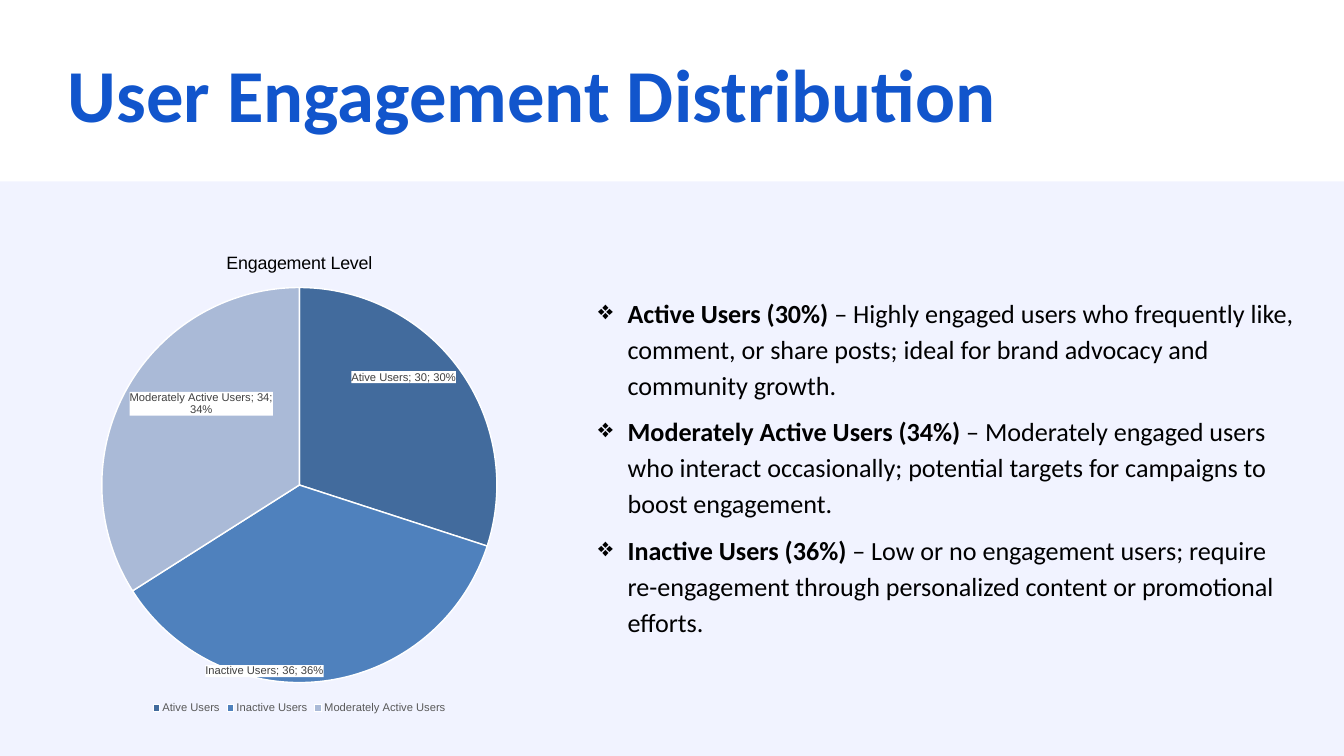
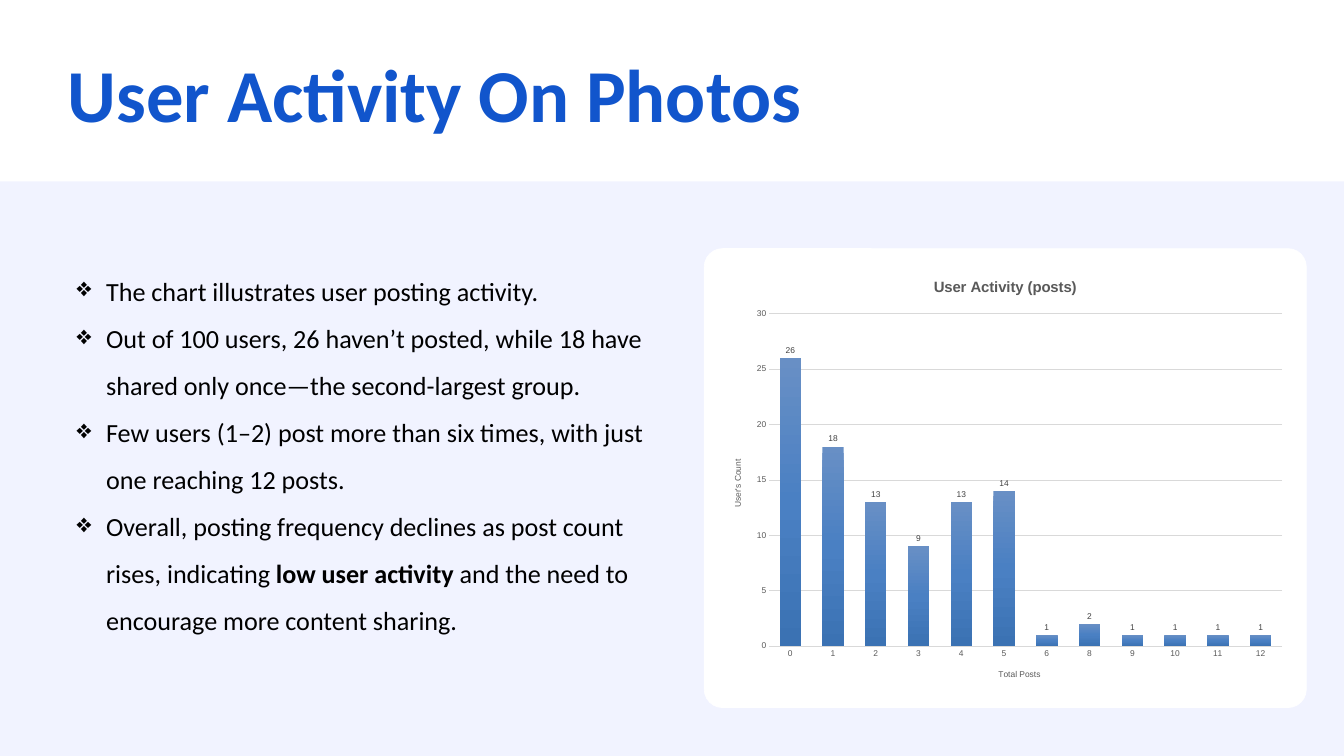
from dataclasses import dataclass
from lxml import etree
from pptx import Presentation
from pptx import util as u
from pptx.chart.data import CategoryChartData
from pptx.dml.color import RGBColor
from pptx.enum import chart as ch
from pptx.enum import shapes, text
from pptx.oxml import parse_xml
from pptx.oxml.ns import qn, nsdecls


@dataclass(frozen=True)
class Theme:
    blue: str = "1155CC"
    band: str = "E5E9FF"
    white: str = "FFFFFF"
    ink: str = "000000"
    dark: str = "404040"
    grey: str = "595959"
    rule: str = "D9D9D9"
    sans: str = "Calibri"
    plain: str = "Arial"
    title: float = 80
    body: float = 28
    small: float = 12
    tick: float = 9


T = Theme()
WIDE, HIGH = 20, 11.25
BAND = 0.24  # share of the height above the tinted band

# Content: each point is a list of (words, bold) runs
LEVELS = {
    "title": "User Engagement Distribution",
    "points": [
        [("Active Users (30%)", True),
         (" – Highly engaged users who frequently like, comment, or share "
          "posts; ideal for brand advocacy and community growth.", False)],
        [("Moderately Active Users (34%)", True),
         (" – Moderately engaged users who interact occasionally; potential "
          "targets for campaigns to boost engagement.", False)],
        [("Inactive Users (36%)", True),
         (" – Low or no engagement users; require re-engagement through "
          "personalized content or promotional efforts.", False)],
    ],
    "chart": "Engagement Level",
    "data": {"Ative Users": 30, "Inactive Users": 36,
             "Moderately Active Users": 34},
    "tints": ["426B9D", "4F81BD", "AABAD7"],
}
POSTS = {
    "title": "User Activity On Photos",
    "points": [
        [("The chart illustrates user posting activity.", False)],
        [("Out of 100 users, 26 haven’t posted, while 18 have shared only "
          "once—the second-largest group.", False)],
        [("Few users (1–2) post more than six times, with just one reaching "
          "12 posts.", False)],
        [("Overall, posting frequency declines as post count rises, "
          "indicating", False), (" low user activity", True),
         (" and the need to encourage more content sharing.", False)],
    ],
    "chart": "User Activity (posts)",
    "axes": ("Total Posts", "User's Count"),
    "data": {"0": 26, "1": 18, "2": 13, "3": 9, "4": 13, "5": 14,
             "6": 1, "8": 2, "9": 1, "10": 1, "11": 1, "12": 1},
    "tints": ["688FC5", "4A80C3", "3B72B3"],
}


def place(box):
    return [u.Inches(n) for n in box]


def style(font, size, tint, face=T.plain, bold=False):
    font.size, font.name, font.bold = u.Pt(size), face, bold
    font.color.rgb = RGBColor.from_string(tint)


def write(slide, box, paras, size=T.body, tint=T.ink, mark=None,
          line=None, before=(), after=()):
    frame = slide.shapes.add_textbox(*place(box)).text_frame
    frame.word_wrap = True
    frame.auto_size = text.MSO_AUTO_SIZE.NONE
    frame.margin_left = frame.margin_right = 0
    frame.margin_top = frame.margin_bottom = 0
    for i, runs in enumerate(paras):
        para = frame.add_paragraph() if i else frame.paragraphs[0]
        for words, bold in runs:
            run = para.add_run()
            run.text = words
            style(run.font, size, tint, T.sans, bold)
        if line:
            para.line_spacing = line
        if before:
            para.space_before = u.Pt(before[i])
        if after:
            para.space_after = u.Pt(after[i])
        if mark:
            props = para._p.get_or_add_pPr()
            props.set("marL", str(u.Inches(0.5)))
            props.set("indent", str(u.Inches(-0.44)))
            hue = etree.SubElement(props, qn("a:buClr"))
            etree.SubElement(hue, qn("a:srgbClr")).set("val", tint)
            etree.SubElement(props, qn("a:buChar")).set("char", mark)


def panel(slide, kind, box, tint):
    shape = slide.shapes.add_shape(kind, *place(box))
    shape.shadow.inherit = False
    shape.fill.solid()
    shape.fill.fore_color.rgb = RGBColor.from_string(tint)
    shape.line.fill.background()
    return shape


def base(deck, topic):
    """Blank slide with the tinted band and the title."""
    slide = deck.slides.add_slide(deck.slide_layouts[6])
    top = BAND * HIGH
    band = panel(slide, shapes.MSO_SHAPE.RECTANGLE,
                 (0, top, WIDE, HIGH - top), T.band)
    hue = band.fill._xPr.find(".//" + qn("a:srgbClr"))
    etree.SubElement(hue, qn("a:alpha")).set("val", "53000")
    write(slide, (1.01, 0.71, 18.16, 1.35), [[(topic["title"], True)]],
          size=T.title, tint=T.blue)
    return slide


def head(owner, words, size, tint, bold=False):
    """Title of a chart or an axis."""
    owner.has_title = True
    para = (owner.chart_title if hasattr(owner, "chart_title")
            else owner.axis_title).text_frame.paragraphs[0]
    run = para.add_run()
    run.text = words
    style(run.font, size, tint, bold=bold)


def plot(slide, kind, box, topic, area):
    """Chart whose inner plot fills the given shares of its box."""
    data = CategoryChartData()
    data.categories = list(topic["data"])
    data.add_series("Series 1", list(topic["data"].values()))
    chart = slide.shapes.add_chart(kind, *place(box), data).chart
    style(chart.font, 10, T.ink)
    zone = chart._chartSpace.find(".//" + qn("c:plotArea"))
    for old in zone.findall(qn("c:layout")):
        zone.remove(old)
    parts = "".join(f'<c:{k} val="{v}"/>' for k, v in zip("xywh", area))
    zone.insert(0, parse_xml(
        f'<c:layout {nsdecls("c")}><c:manualLayout>'
        '<c:layoutTarget val="inner"/><c:xMode val="edge"/>'
        f'<c:yMode val="edge"/>{parts}</c:manualLayout></c:layout>'))
    return chart


def label(series, size, tint, spot):
    tags = series.data_labels
    style(tags.font, size, tint)
    tags.position = spot
    tags.show_value = True
    return tags


def pie(slide, topic):
    chart = plot(slide, ch.XL_CHART_TYPE.PIE, (1.02, 3.49, 6.87, 7.17),
                 topic, (0.07, 0.11, 0.86, 0.82))
    head(chart, topic["chart"], 19.1, T.ink)
    chart.has_legend = True
    chart.legend.position = ch.XL_LEGEND_POSITION.BOTTOM
    chart.legend.include_in_layout = False
    style(chart.legend.font, T.small, T.grey)
    series = chart.plots[0].series[0]
    for i, tint in enumerate(topic["tints"]):
        form = series.points[i].format
        form.fill.solid()
        form.fill.fore_color.rgb = RGBColor.from_string(tint)
        form.line.color.rgb = RGBColor.from_string(T.white)
        form.line.width = u.Pt(1.5)
    tags = label(series, T.small, T.dark, ch.XL_LABEL_POSITION.INSIDE_END)
    tags.show_category_name = tags.show_percentage = True
    # White backing for the labels
    tags._element.find(qn("c:txPr")).addprevious(parse_xml(
        f'<c:spPr {nsdecls("c", "a")}><a:solidFill>'
        f'<a:srgbClr val="{T.white}"/></a:solidFill></c:spPr>'))


def bars(slide, topic):
    chart = plot(slide, ch.XL_CHART_TYPE.COLUMN_CLUSTERED,
                 (10.67, 3.9, 8.58, 6.42), topic, (0.09, 0.12, 0.89, 0.77))
    chart.has_legend = False
    head(chart, topic["chart"], 16, T.grey, bold=True)
    cats, vals = chart.category_axis, chart.value_axis
    for axis, name in zip((cats, vals), topic["axes"]):
        head(axis, name, T.tick, T.grey)
        style(axis.tick_labels.font, T.tick, T.grey)
        axis.major_tick_mark = ch.XL_TICK_MARK.NONE
        axis.minor_tick_mark = ch.XL_TICK_MARK.NONE
    vals.minimum_scale, vals.maximum_scale, vals.major_unit = 0, 30, 5
    vals.format.line.fill.background()
    for line, width in ((cats.format.line, 1),
                        (vals.major_gridlines.format.line, 0.75)):
        line.color.rgb = RGBColor.from_string(T.rule)
        line.width = u.Pt(width)
    group = chart.plots[0]
    group.gap_width, group.overlap = 100, -24
    group.vary_by_categories = False
    series = group.series[0]
    label(series, T.tick, T.dark, ch.XL_LABEL_POSITION.OUTSIDE_END)
    # Three-stop gradient from top to bottom
    stops = "".join(
        f'<a:gs pos="{i * 50000}"><a:srgbClr val="{tint}"/></a:gs>'
        for i, tint in enumerate(topic["tints"]))
    series.format.fill._xPr.insert(0, parse_xml(
        f'<a:gradFill {nsdecls("a")}><a:gsLst>{stops}</a:gsLst>'
        '<a:lin ang="5400000" scaled="0"/></a:gradFill>'))


def main():
    deck = Presentation()
    deck.slide_width, deck.slide_height = place((WIDE, HIGH))

    # Engagement levels
    slide = base(deck, LEVELS)
    write(slide, (8.84, 4.36, 10.42, 5.32), LEVELS["points"], mark="❖",
          line=1.15, before=(12, 10, 12), after=(0, 0, 10))
    pie(slide, LEVELS)

    # Posts per user
    slide = base(deck, POSTS)
    write(slide, (1.08, 3.86, 8.75, 6.42), POSTS["points"], mark="❖",
          line=1.5)
    card = panel(slide, shapes.MSO_SHAPE.ROUNDED_RECTANGLE,
                 (10.48, 3.7, 8.96, 6.83), T.white)
    card.adjustments[0] = 0.04
    card.line.color.rgb = RGBColor.from_string(T.white)
    card.line.width = u.Pt(0.75)
    bars(slide, POSTS)

    deck.save("out.pptx")


if __name__ == "__main__":
    main()
